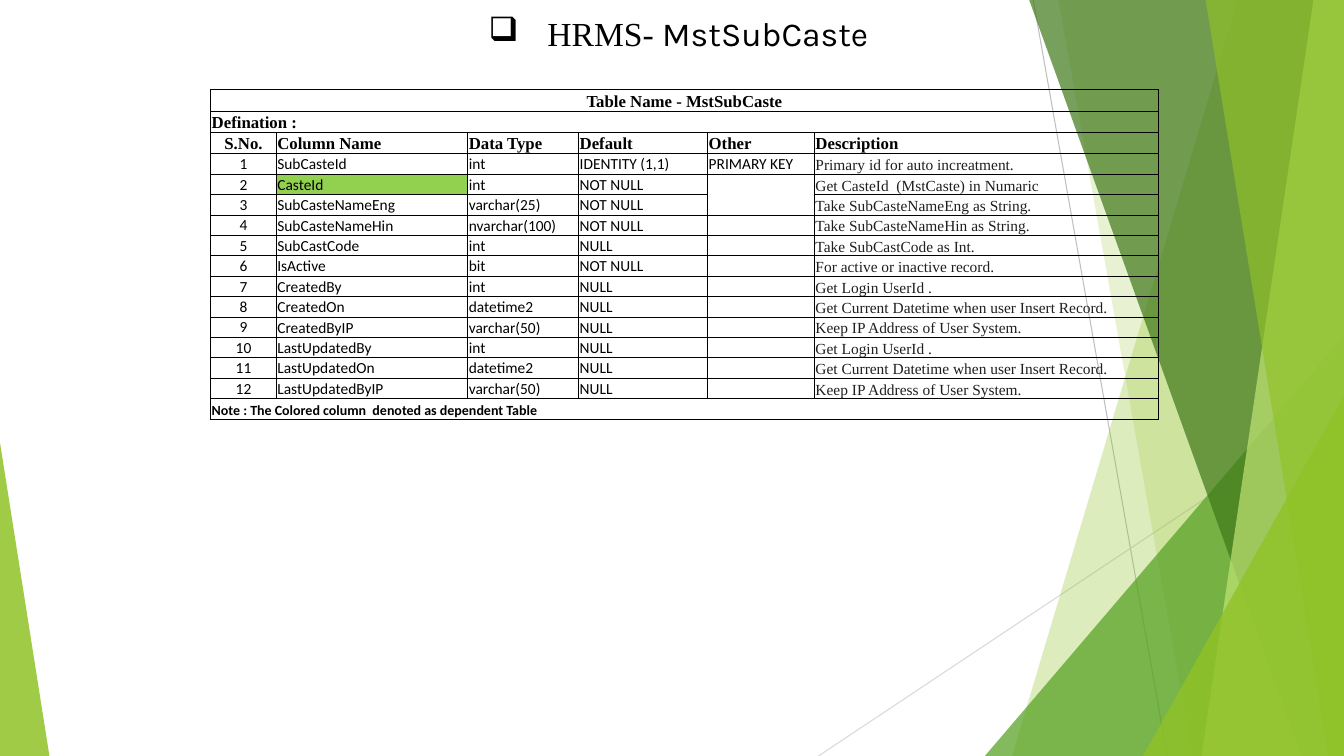
from dataclasses import dataclass

from lxml import etree
from pptx import Presentation
from pptx.dml.color import RGBColor
from pptx.enum.shapes import MSO_CONNECTOR, MSO_SHAPE
from pptx.enum.text import MSO_ANCHOR, MSO_AUTO_SIZE, PP_ALIGN
from pptx.oxml.ns import qn
from pptx.util import Inches, Pt

STRAIGHT = MSO_CONNECTOR.STRAIGHT
TRIANGLE = MSO_SHAPE.ISOSCELES_TRIANGLE
CENTER, LEFT = PP_ALIGN.CENTER, PP_ALIGN.LEFT
MIDDLE, BOTTOM = MSO_ANCHOR.MIDDLE, MSO_ANCHOR.BOTTOM
GROW = MSO_AUTO_SIZE.SHAPE_TO_FIT_TEXT
SLIDE_WIDTH, SLIDE_HEIGHT = Inches(13.33), Inches(7.5)
SERIF, SANS, DISPLAY = "Times New Roman", "Calibri", "Karla"
BLACK, INK, KEY_GREEN, LEAF = "000000", "1F1F1F", "92D050", "90C226"


@dataclass(frozen=True)
class Ray:
    """A thin background line, in percent of the slide."""
    x1: float
    y1: float
    x2: float
    y2: float
    color: str


@dataclass(frozen=True)
class Shard:
    """A full-height band whose slanted left edge runs from top to foot."""
    top: float
    foot: float
    color: str
    opacity: int


@dataclass(frozen=True)
class Wedge:
    """A right triangle standing on the slide's foot."""
    left: float
    top: float
    width: float
    apex: float
    color: str
    opacity: int


@dataclass(frozen=True)
class Style:
    """The look of a piece of text."""
    size: float
    font: str
    color: str = BLACK
    bold: bool = False


RAYS = [Ray(76.88, 0, 86.85, 100, "BFBFBF"), Ray(100, 53.73, 60.9, 100, "D9D9D9")]
FACETS = [
    Shard(92.1, 75.3, LEAF, 30),
    Shard(78.75, 88.73, LEAF, 20),
    Wedge(73.28, 44.4, 26.72, 1, "54A021", 72),
    Shard(76.58, 96.83, "3F7819", 70),
    Shard(97.73, 89.4, "C0E474", 70),
    Shard(89.7, 98.85, LEAF, 65),
    Wedge(85.05, 52.4, 14.95, 1, LEAF, 80),
    Wedge(0, 58.53, 3.68, 0, LEAF, 85),
]
HEADING, BODY = Style(12, SERIF, bold=True), Style(11, SANS)
DESCRIPTION, NOTE = Style(11, SERIF, INK), Style(10, SANS, bold=True)
COLUMN_SHARES = [4.88, 14.25, 8.25, 9.6, 7.95, 25.58]
HEADING_ROWS, HEADING_SHARE, BODY_SHARE = 3, 2.82, 2.7
FIELDS = [
    ("SubCasteId", "int", "IDENTITY (1,1)", "PRIMARY KEY", "Primary id for auto increatment."),
    ("CasteId", "int", "NOT NULL", "", "Get CasteId  (MstCaste) in Numaric"),
    ("SubCasteNameEng", "varchar(25)", "NOT NULL", "", "Take SubCasteNameEng as String."),
    ("SubCasteNameHin", "nvarchar(100)", "NOT NULL", "", "Take SubCasteNameHin as String."),
    ("SubCastCode", "int", "NULL", "", "Take SubCastCode as Int."),
    ("IsActive", "bit", "NOT NULL", "", "For active or inactive record."),
    ("CreatedBy", "int", "NULL", "", "Get Login UserId ."),
    ("CreatedOn", "datetime2", "NULL", "", "Get Current Datetime when user Insert Record."),
    ("CreatedByIP", "varchar(50)", "NULL", "", "Keep IP Address of User System."),
    ("LastUpdatedBy", "int", "NULL", "", "Get Login UserId ."),
    ("LastUpdatedOn", "datetime2", "NULL", "", "Get Current Datetime when user Insert Record."),
    ("LastUpdatedByIP", "varchar(50)", "NULL", "", "Keep IP Address of User System."),
]
GRID = [
    ("Table Name - MstSubCaste",),
    ("Defination :",),
    ("S.No.", "Column Name", "Data Type", "Default", "Other", "Description"),
    *[(str(number), *field) for number, field in enumerate(FIELDS, 1)],
    ("Note : The Colored column  denoted as dependent Table",),
]
OPEN_EDGES = {(4, 4): "a:lnB", (5, 4): "a:lnT"}
DEPENDENT_CELL = (4, 1)


def across(percent: float) -> int:
    return round(SLIDE_WIDTH * percent / 100)


def down(percent: float) -> int:
    return round(SLIDE_HEIGHT * percent / 100)


def rgb(color: str) -> RGBColor:
    return RGBColor.from_string(color)


def style_run(run, style: Style) -> None:
    run.font.size, run.font.name, run.font.bold = Pt(style.size), style.font, style.bold
    run.font.color.rgb = rgb(style.color)


def draw_ray(slide, ray: Ray) -> None:
    line = slide.shapes.add_connector(
        STRAIGHT, across(ray.x1), down(ray.y1), across(ray.x2), down(ray.y2))
    line.line.color.rgb, line.line.width = rgb(ray.color), Pt(0.75)
    etree.SubElement(line._element.spPr, qn("a:effectLst"))


def draw_facet(slide, facet: Shard | Wedge) -> None:
    if isinstance(facet, Shard):
        outline = slide.shapes.build_freeform(across(facet.top), 0)
        outline.add_line_segments(
            [(across(x), down(y)) for x, y in ((100, 0), (100, 100), (facet.foot, 100))])
        panel = outline.convert_to_shape()
    else:
        panel = slide.shapes.add_shape(TRIANGLE, across(facet.left), down(facet.top),
                                       across(facet.width), down(100 - facet.top))
        panel.adjustments[0] = facet.apex
    panel.shadow.inherit = False
    panel.fill.solid()
    panel.fill.fore_color.rgb = rgb(facet.color)
    tint = panel._element.spPr.find(".//" + qn("a:srgbClr"))
    etree.SubElement(tint, qn("a:alpha"), val=str(facet.opacity * 1000))
    panel.line.fill.background()


def draw_title(slide) -> None:
    frame = slide.shapes.add_textbox(
        across(12.15), down(1.07), across(61.65), down(6.67)).text_frame
    frame.word_wrap, frame.auto_size = True, GROW
    title = frame.paragraphs[0]
    title.level, title.alignment = 4, CENTER
    properties = title._p.get_or_add_pPr()
    properties.set("marL", str(Inches(2.5)))
    properties.set("indent", str(Inches(-0.5)))
    etree.SubElement(properties, qn("a:buChar"), char="❑")
    for words, font in ((" HRMS- ", SERIF), ("MstSubCaste", DISPLAY)):
        run = title.add_run()
        run.text = words
        style_run(run, Style(24, font))


def draw_borders(cell, open_edge: str | None) -> None:
    properties = cell._tc.get_or_add_tcPr()
    for position, edge in enumerate(("a:lnL", "a:lnR", "a:lnT", "a:lnB")):
        border = etree.Element(qn(edge), w=str(Pt(0.5)))
        if edge == open_edge:
            etree.SubElement(border, qn("a:noFill"))
        else:
            paint = etree.SubElement(border, qn("a:solidFill"))
            etree.SubElement(paint, qn("a:srgbClr"), val=BLACK)
        properties.insert(position, border)


def cell_style(row: int, column: int) -> Style:
    if row < HEADING_ROWS:
        return HEADING
    if row == len(GRID) - 1:
        return NOTE
    return DESCRIPTION if column == len(COLUMN_SHARES) - 1 else BODY


def fill_cell(cell, row: int, column: int, words: str) -> None:
    numbered = column == 0 and len(GRID[row]) > 1
    cell.margin_left = cell.margin_top = cell.margin_right = Inches(0.01)
    cell.margin_bottom = 0
    cell.vertical_anchor = MIDDLE if numbered else BOTTOM
    if (row, column) == DEPENDENT_CELL:
        cell.fill.solid()
        cell.fill.fore_color.rgb = rgb(KEY_GREEN)
    else:
        cell.fill.background()
    draw_borders(cell, OPEN_EDGES.get((row, column)))
    cell.text_frame.text = words
    paragraph = cell.text_frame.paragraphs[0]
    paragraph.alignment = CENTER if numbered or (row, column) == (0, 0) else LEFT
    style = cell_style(row, column)
    for run in paragraph.runs:
        style_run(run, style)
    if not words:
        etree.SubElement(paragraph._p, qn("a:endParaRPr"), sz=str(style.size * 100))


def draw_table(slide) -> None:
    heights = [HEADING_SHARE if row < HEADING_ROWS else BODY_SHARE for row in range(len(GRID))]
    table = slide.shapes.add_table(
        len(GRID), len(COLUMN_SHARES), across(15.68), down(11.87),
        across(sum(COLUMN_SHARES)), down(sum(heights))).table
    table.first_row = table.horz_banding = False
    for column, share in zip(table.columns, COLUMN_SHARES):
        column.width = across(share)
    for row, (entries, share) in enumerate(zip(GRID, heights)):
        table.rows[row].height = down(share)
        for column in range(len(COLUMN_SHARES)):
            words = entries[column] if column < len(entries) else ""
            fill_cell(table.cell(row, column), row, column, words)
        if len(entries) == 1:
            table.cell(row, 0).merge(table.cell(row, len(COLUMN_SHARES) - 1))


def main() -> None:
    """Build the table definition slide and save it."""
    deck = Presentation()
    deck.slide_width, deck.slide_height = SLIDE_WIDTH, SLIDE_HEIGHT
    slide = deck.slides.add_slide(deck.slide_layouts[6])
    for ray in RAYS:
        draw_ray(slide, ray)
    for facet in FACETS:
        draw_facet(slide, facet)
    draw_title(slide)
    draw_table(slide)
    deck.save("out.pptx")


if __name__ == "__main__":
    main()
